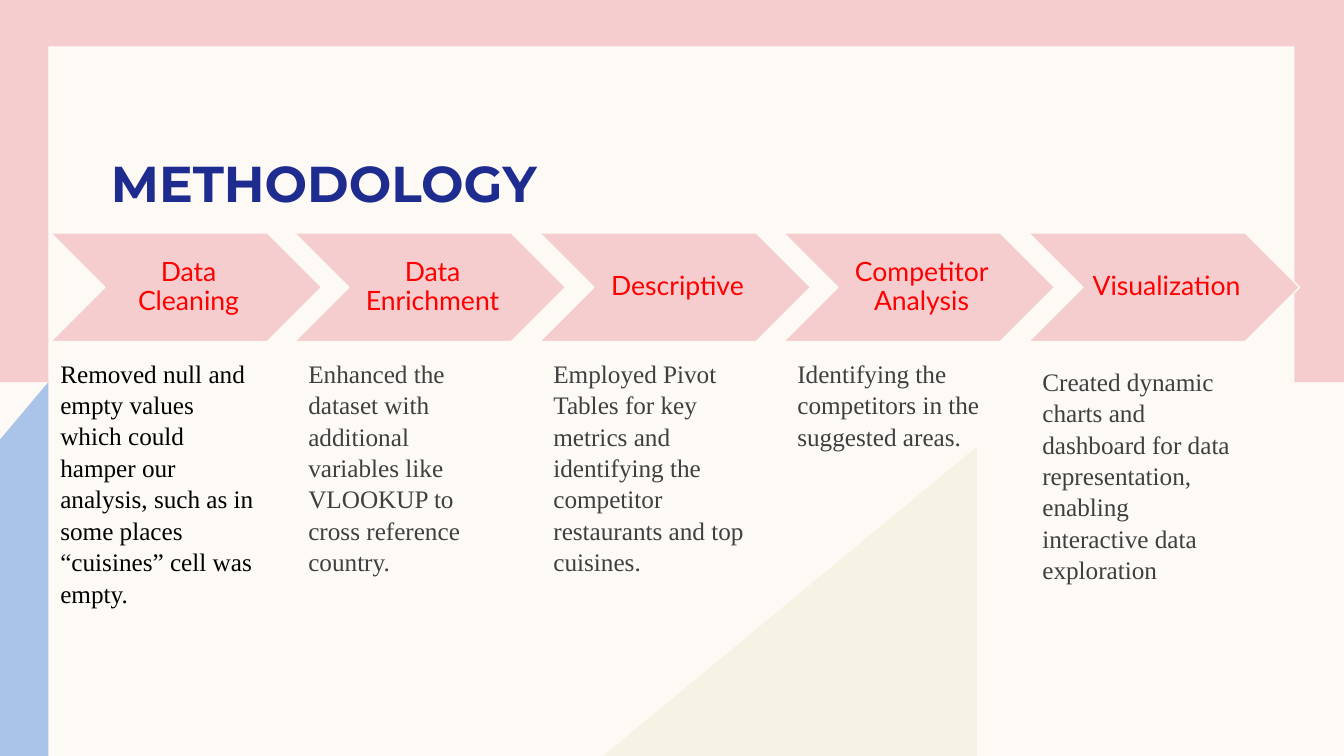
from dataclasses import dataclass
from typing import Any

from lxml.etree import SubElement
from pptx import Presentation
from pptx.dml.color import RGBColor
from pptx.enum.shapes import MSO_SHAPE
from pptx.enum.text import MSO_ANCHOR, MSO_AUTO_SIZE, PP_ALIGN
from pptx.oxml.ns import qn
from pptx.slide import Slide
from pptx.util import Emu, Pt

SCALE = 9144


@dataclass(frozen=True)
class Theme:
    paper: str = "FDFAF6"
    pink: str = "F5CDCE"
    sand: str = "EDEED3"
    sky: str = "AAC3E8"
    navy: str = "1F2C8F"
    red: str = "FF0000"
    black: str = "000000"
    gray: str = "3F3F3F"
    head: int = 36
    label: int = 19
    note: int = 18


@dataclass(frozen=True)
class Box:
    left: int
    top: int
    width: int
    height: int


@dataclass(frozen=True)
class Patch:
    points: tuple[tuple[int, int], ...]
    color: str
    alpha: int = 100


@dataclass(frozen=True)
class Step:
    name: str
    note: str
    width: int
    height: int
    shift: int = 4
    drop: int = 0
    color: str = Theme.gray


THEME = Theme()
WIDE, HIGH = 1333, 750
PANELS = (
    (Box(0, 0, WIDE, 379), THEME.pink),
    (Box(48, 46, 1236, 659), THEME.paper),
)
PATCHES = (
    Patch(((598, 750), (969, 443), (969, 750)), THEME.sand, 50),
    Patch(((48, 379), (48, 750), (0, 750), (0, 436)), THEME.sky),
)
STEPS = (
    Step("Data Cleaning", "Removed null and empty values which could hamper our analysis, "
         "such as in some places “cuisines” cell was empty.", 214, 283, 0, color=THEME.black),
    Step("Data Enrichment", "Enhanced the dataset with additional variables like VLOOKUP "
         "to cross reference country.", 210, 252),
    Step("Descriptive", "Employed Pivot Tables for key metrics and identifying the "
         "competitor restaurants and top cuisines.", 211, 252),
    Step("Competitor Analysis", "Identifying the competitors in the suggested areas.", 211, 131),
    Step("Visualization", "Created dynamic charts and dashboard for data representation, "
         "enabling interactive data exploration", 216, 252, drop=8),
)


def px(count: int) -> Emu:
    return Emu(count * SCALE)


def place(box: Box) -> tuple[Emu, ...]:
    return tuple(px(side) for side in (box.left, box.top, box.width, box.height))


def apply(target: Any, form: dict[str, Any]) -> None:
    for key, value in form.items():
        setattr(target, key, value)


def paint(shape: Any, color: str) -> None:
    shape.shadow.inherit = False
    shape.fill.solid()
    shape.fill.fore_color.rgb = RGBColor.from_string(color)
    shape.line.fill.background()


def write(shape: Any, words: str, color: str, frame: dict[str, Any],
          para: dict[str, Any], font: dict[str, Any]) -> None:
    body = shape.text_frame
    apply(body, {"word_wrap": True, **frame})
    line = body.paragraphs[0]
    apply(line, para)
    run = line.add_run()
    run.text = words
    apply(run.font, font)
    run.font.color.rgb = RGBColor.from_string(color)


def draw_panel(slide: Slide, box: Box, color: str) -> None:
    paint(slide.shapes.add_shape(MSO_SHAPE.RECTANGLE, *place(box)), color)


def draw_patch(slide: Slide, patch: Patch) -> None:
    start, *rest = patch.points
    pen = slide.shapes.build_freeform(*start, scale=SCALE)
    pen.add_line_segments(rest, close=True)
    shape = pen.convert_to_shape()
    paint(shape, patch.color)
    if patch.alpha < 100:
        tint = shape.element.spPr.find(qn("a:solidFill"))[0]
        SubElement(tint, qn("a:alpha")).set("val", str(patch.alpha * 1000))


def draw_title(slide: Slide) -> None:
    title = slide.shapes.title
    slide.shapes.element.append(title.element)
    sides = place(Box(100, 116, 575, 95))
    apply(title, dict(zip(("left", "top", "width", "height"), sides)))
    write(title, "METHODOLOGY", THEME.navy,
          {"vertical_anchor": MSO_ANCHOR.BOTTOM, "auto_size": MSO_AUTO_SIZE.NONE,
           "margin_top": 0, "margin_bottom": 0},
          {"alignment": PP_ALIGN.LEFT},
          {"name": "Montserrat", "size": Pt(THEME.head), "bold": True})


def draw_arrow(slide: Slide, step: Step, left: int) -> None:
    arrow = slide.shapes.add_shape(MSO_SHAPE.CHEVRON, *place(Box(left, 231, 269, 108)))
    paint(arrow, THEME.pink)
    arrow.line.color.rgb = RGBColor.from_string(THEME.paper)
    arrow.line.width = Pt(1)
    write(arrow, step.name, THEME.red,
          {"vertical_anchor": MSO_ANCHOR.MIDDLE, "margin_left": px(8),
           "margin_right": px(3), "margin_top": px(3), "margin_bottom": px(3)},
          {"alignment": PP_ALIGN.CENTER, "line_spacing": 0.9},
          {"name": "Lato", "size": Pt(THEME.label)})


def draw_note(slide: Slide, step: Step, left: int) -> None:
    box = Box(left + step.shift, 349 + step.drop, step.width, step.height)
    write(slide.shapes.add_textbox(*place(box)), step.note, step.color,
          {"auto_size": MSO_AUTO_SIZE.SHAPE_TO_FIT_TEXT},
          {"alignment": PP_ALIGN.LEFT, "line_spacing": 1.04},
          {"name": "Times New Roman", "size": Pt(THEME.note)})


def main() -> None:
    deck = Presentation()
    apply(deck, {"slide_width": px(WIDE), "slide_height": px(HIGH)})
    slide = deck.slides.add_slide(deck.slide_layouts[5])
    back = slide.background.fill
    back.solid()
    back.fore_color.rgb = RGBColor.from_string(THEME.paper)
    for box, color in PANELS:
        draw_panel(slide, box, color)
    for patch in PATCHES:
        draw_patch(slide, patch)
    draw_title(slide)
    lefts = [50 + 485 * rank // 2 for rank in range(len(STEPS))]
    for draw in (draw_arrow, draw_note):
        for step, left in zip(STEPS, lefts):
            draw(slide, step, left)
    deck.save("out.pptx")


if __name__ == "__main__":
    main()
